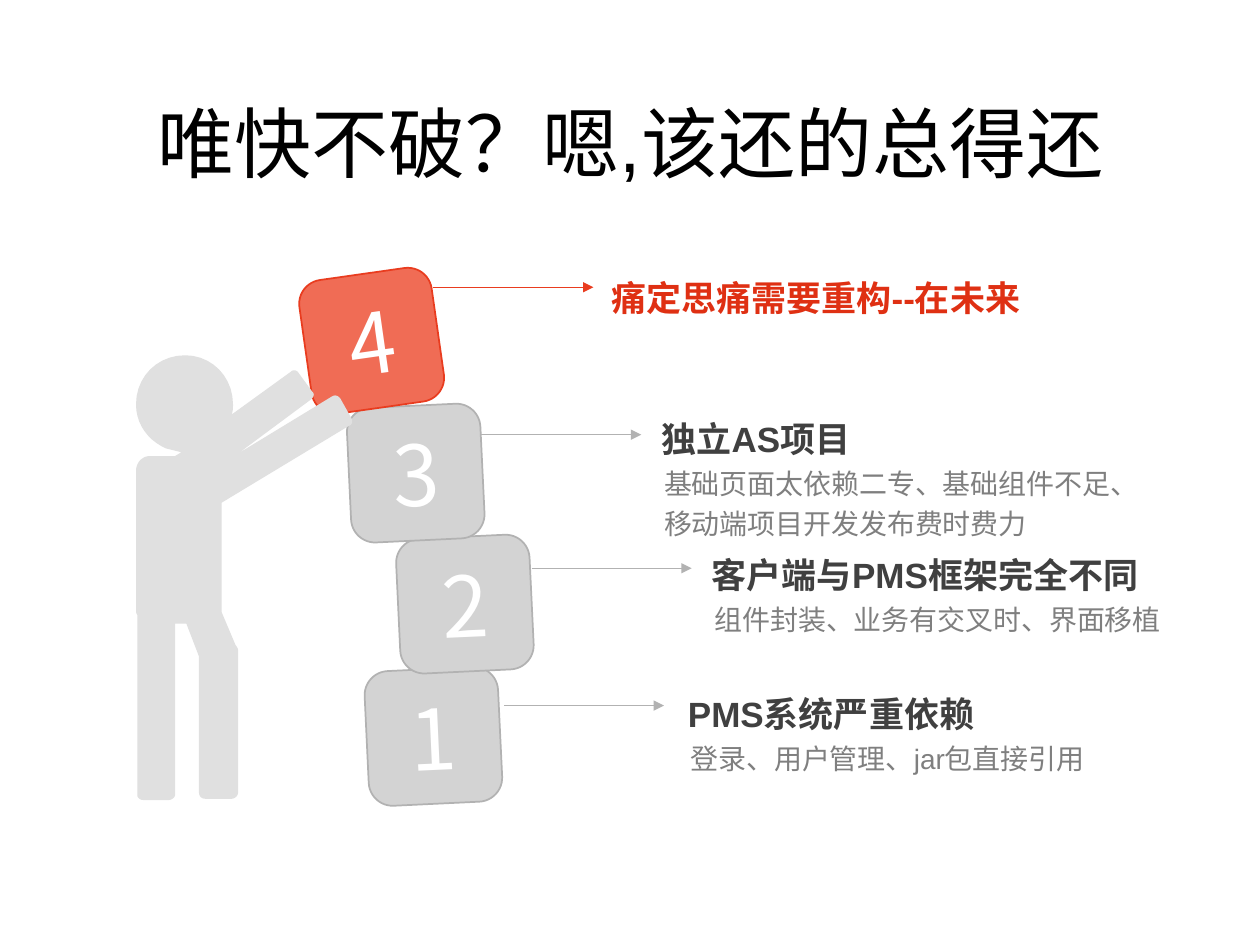
from lxml.etree import SubElement
from pptx import Presentation
from pptx.dml.color import RGBColor
from pptx.enum.shapes import MSO_CONNECTOR, MSO_SHAPE
from pptx.enum.text import MSO_ANCHOR, PP_ALIGN
from pptx.oxml.ns import qn
from pptx.util import Inches, Pt

GRAY = ("D3D3D3", "B2B2B2", "404040")
RED = ("F06C55", "E93C1F", "DF3013")

STEPS = [
    ("1", (2.91, 5.31), -2.7, (4, 5.6), (5.46, 5.36), GRAY,
     "PMS系统严重依赖", "登录、用户管理、jar包直接引用"),
    ("2", (3.16, 4.26), -2.7, (4.22, 4.51), (5.65, 4.26), GRAY,
     "客户端与PMS框架完全不同", "组件封装、业务有交叉时、界面移植"),
    ("3", (2.77, 3.22), -2.7, (3.82, 3.45), (5.25, 3.18), GRAY,
     "独立AS项目", "基础页面太依赖二专、基础组件不足、移动端项目开发发布费时费力"),
    ("4", (2.42, 2.17), -8.1, (3.44, 2.28), (4.85, 2.06), RED,
     "痛定思痛需要重构--在未来", None),
]

FIGURE = [
    (0.39, 0), (0.6, 0, 0.77, 0.17, 0.77, 0.39), (0.77, 0.41, 0.77, 0.44, 0.76, 0.47),
    (1.23, 0.13), (1.25, 0.11, 1.28, 0.12, 1.29, 0.14),
    (1.4, 0.29), (1.42, 0.31, 1.41, 0.33, 1.39, 0.35),
    (0.81, 0.78), (1.55, 0.33), (1.58, 0.31, 1.6, 0.32, 1.62, 0.34),
    (1.71, 0.5), (1.72, 0.52, 1.72, 0.55, 1.69, 0.56),
    (0.68, 1.17), (0.68, 2.04), (0.79, 2.3), (0.8, 2.31, 0.81, 2.33, 0.81, 2.34),
    (0.81, 3.47), (0.81, 3.5, 0.78, 3.52, 0.76, 3.52),
    (0.55, 3.52), (0.52, 3.52, 0.5, 3.5, 0.5, 3.47),
    (0.5, 2.39), (0.4, 2.13), (0.31, 2.13),
    (0.31, 3.49), (0.31, 3.51, 0.28, 3.53, 0.26, 3.53),
    (0.06, 3.53), (0.03, 3.53, 0.01, 3.51, 0.01, 3.49),
    (0.01, 2.06), (0, 2.05, 0, 2.03, 0, 2.02),
    (0, 0.92), (0, 0.85, 0.05, 0.8, 0.11, 0.8),
    (0.31, 0.8), (0.36, 0.77), (0.24, 0.74),
    (0.1, 0.68, 0, 0.55, 0, 0.39), (0, 0.17, 0.17, 0, 0.39, 0),
]


def color(value):
    return RGBColor.from_string(value)


def add_run(paragraph, text, size, value, font="Arial", bold=False):
    run = paragraph.add_run()
    run.text = text
    run.font.name = font
    run.font.size = Pt(size)
    run.font.bold = bold
    run.font.color.rgb = color(value)


def add_title(slide, left, top, width, height, text):
    title = slide.shapes.title
    title.left, title.top = Inches(left), Inches(top)
    title.width, title.height = Inches(width), Inches(height)
    title.text_frame.vertical_anchor = MSO_ANCHOR.MIDDLE
    paragraph = title.text_frame.paragraphs[0]
    paragraph.alignment = PP_ALIGN.CENTER
    add_run(paragraph, text, 44, "000000")


def add_cube(slide, left, top, number, rotation, fill, line):
    cube = slide.shapes.add_shape(MSO_SHAPE.ROUNDED_RECTANGLE, Inches(left), Inches(top),
                                  Inches(1.06), Inches(1.07))
    cube.adjustments[0] = 0.18
    cube.rotation = rotation
    cube.shadow.inherit = False
    cube.fill.solid()
    cube.fill.fore_color.rgb = color(fill)
    cube.line.color.rgb = color(line)
    cube.line.width = Pt(1)
    cube.text_frame.vertical_anchor = MSO_ANCHOR.MIDDLE
    paragraph = cube.text_frame.paragraphs[0]
    paragraph.alignment = PP_ALIGN.CENTER
    add_run(paragraph, number, 48, "FFFFFF", "Noto Sans CJK JP")


def add_arrow(slide, left, top, value):
    arrow = slide.shapes.add_connector(MSO_CONNECTOR.STRAIGHT, Inches(left), Inches(top),
                                       Inches(left + 1.27), Inches(top))
    arrow.line.color.rgb = color(value)
    arrow.line.width = Pt(0.5)
    SubElement(arrow.line._get_or_add_ln(), qn("a:tailEnd"), type="triangle")
    SubElement(arrow._element.spPr, qn("a:effectLst"))


def add_text(slide, left, top, width, height, text, size, value, spacing, anchor, bold=False):
    box = slide.shapes.add_textbox(Inches(left), Inches(top), Inches(width), Inches(height))
    frame = box.text_frame
    frame.word_wrap = True
    frame.vertical_anchor = anchor
    frame.margin_left = frame.margin_right = frame.margin_top = frame.margin_bottom = 0
    paragraph = frame.paragraphs[0]
    paragraph.line_spacing = spacing
    add_run(paragraph, text, size, value, bold=bold)


def add_caption(slide, left, top, heading, detail, value):
    add_text(slide, left, top, 3.84, 0.5, heading, 20, value, 1.3, MSO_ANCHOR.MIDDLE, True)
    if detail:
        add_text(slide, left + 0.02, top + 0.47, 3.81, 0.66, detail, 16, "7F7F7F", 1.2,
                 MSO_ANCHOR.TOP)


def curve_points(start, curve, count=10):
    controls = [start, curve[:2], curve[2:4], curve[4:]]
    for index in range(1, count + 1):
        t = index / count
        weights = [(1 - t) ** 3, 3 * t * (1 - t) ** 2, 3 * t ** 2 * (1 - t), t ** 3]
        yield tuple(sum(weight * point[axis] for weight, point in zip(weights, controls))
                    for axis in (0, 1))


def add_figure(slide, left, top):
    points = [FIGURE[0]]
    for segment in FIGURE[1:]:
        points.extend([segment] if len(segment) == 2 else curve_points(points[-1], segment))
    outline = [(Inches(left + x), Inches(top + y)) for x, y in points]
    builder = slide.shapes.build_freeform(*outline[0])
    builder.add_line_segments(outline[1:], close=True)
    figure = builder.convert_to_shape()
    figure.shadow.inherit = False
    figure.fill.solid()
    figure.fill.fore_color.rgb = color("E0E0E0")
    figure.line.fill.background()


def main():
    presentation = Presentation()
    presentation.slide_width, presentation.slide_height = Inches(10), Inches(7.5)
    slide = presentation.slides.add_slide(presentation.slide_layouts[5])
    add_title(slide, 0.69, 0.4, 8.63, 1.45, "唯快不破？嗯,该还的总得还")
    for number, cube, rotation, arrow, caption, (fill, line, ink), heading, detail in STEPS:
        add_cube(slide, *cube, number, rotation, fill, line)
        add_arrow(slide, *arrow, line)
        add_caption(slide, *caption, heading, detail, ink)
    add_figure(slide, 1.08, 2.82)
    presentation.save("out.pptx")


if __name__ == "__main__":
    main()
